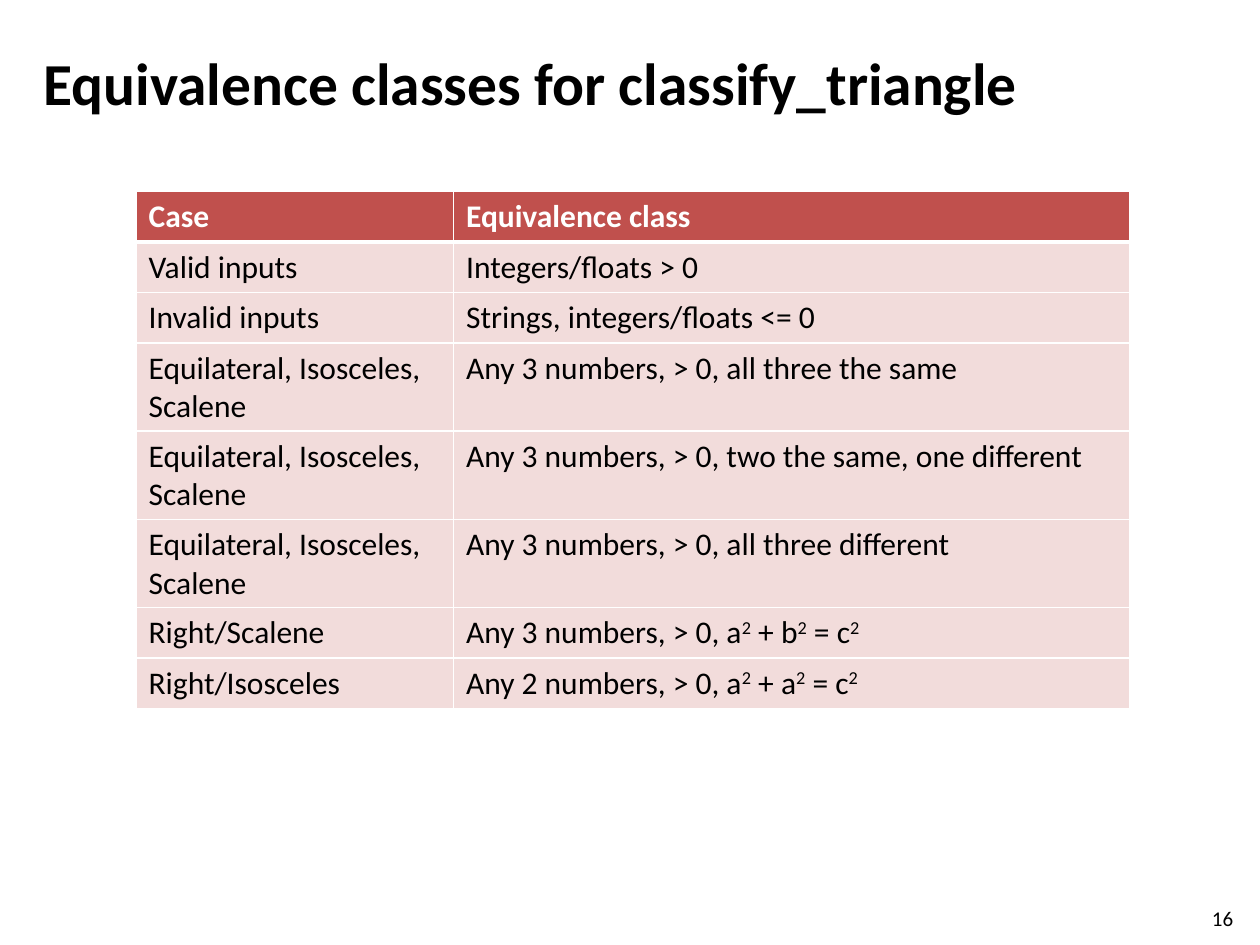
from dataclasses import dataclass

from lxml import etree
from pptx import Presentation
from pptx import util as u
from pptx.dml.color import RGBColor
from pptx.enum import text
from pptx.oxml.ns import qn

COLORS = {"ink": "000000", "paper": "FFFFFF", "header": "C0504D", "body": "F2DCDB"}
FONT = "Calibri"
COLUMN_WIDTHS = (2.52, 5.37)
LINE_HEIGHT = 0.3
CELL_PADDING = 0.1


@dataclass(frozen=True)
class TestCase:
    case: str
    equivalence_class: str
    lines: int = 1


TRIANGLE_KINDS = "Equilateral, Isosceles, Scalene"
ROWS = [
    TestCase("Case", "Equivalence class"),
    TestCase("Valid inputs", "Integers/floats > 0"),
    TestCase("Invalid inputs", "Strings, integers/floats <= 0"),
    TestCase(TRIANGLE_KINDS, "Any 3 numbers, > 0, all three the same", 2),
    TestCase(TRIANGLE_KINDS, "Any 3 numbers, > 0, two the same, one different", 2),
    TestCase(TRIANGLE_KINDS, "Any 3 numbers, > 0, all three different", 2),
    TestCase("Right/Scalene", "Any 3 numbers, > 0, a^2^ + b^2^ = c^2^"),
    TestCase("Right/Isosceles", "Any 2 numbers, > 0, a^2^ + a^2^ = c^2^"),
]


def write_text(frame, content: str, *, size: float, color: str = "ink",
               bold: bool = False) -> None:
    para = frame.paragraphs[0]
    for index, piece in enumerate(content.split("^")):
        if not piece:
            continue
        span = para.add_run()
        span.text = piece
        span.font.name = FONT
        span.font.size = u.Pt(size)
        span.font.bold = bold
        span.font.color.rgb = RGBColor.from_string(COLORS[color])
        if index % 2:
            span.font._element.set("baseline", "30000")


def add_label(page, content: str, left: float, top: float, width: float,
              height: float, *, anchor=text.MSO_ANCHOR.TOP, **style) -> None:
    box = page.shapes.add_textbox(
        u.Inches(left), u.Inches(top), u.Inches(width), u.Inches(height))
    box.text_frame.word_wrap = True
    box.text_frame.vertical_anchor = anchor
    write_text(box.text_frame, content, **style)


def add_borders(cell, widths: dict[str, float]) -> None:
    properties = cell._tc.get_or_add_tcPr()
    for side, width in widths.items():
        line = etree.SubElement(properties, qn(f"a:ln{side}"), w=str(u.Pt(width)))
        fill = etree.SubElement(line, qn("a:solidFill"))
        etree.SubElement(fill, qn("a:srgbClr"), val=COLORS["paper"])


def add_case_table(page, left: float, top: float, rows: list[TestCase]) -> None:
    heights = [CELL_PADDING + LINE_HEIGHT * row.lines for row in rows]
    table = page.shapes.add_table(
        len(rows), len(COLUMN_WIDTHS), u.Inches(left), u.Inches(top),
        u.Inches(sum(COLUMN_WIDTHS)), u.Inches(sum(heights))).table
    for column, width in zip(table.columns, COLUMN_WIDTHS):
        column.width = u.Inches(width)
    for index, (row, height) in enumerate(zip(rows, heights)):
        table.rows[index].height = u.Inches(height)
        header = index == 0
        borders = {"L": 1, "R": 1, "T": 3 if index == 1 else 1, "B": 3 if header else 1}
        for cell, content in zip(table.rows[index].cells, (row.case, row.equivalence_class)):
            add_borders(cell, borders)
            cell.fill.solid()
            cell.fill.fore_color.rgb = RGBColor.from_string(
                COLORS["header" if header else "body"])
            write_text(cell.text_frame, content, size=18,
                       color="paper" if header else "ink", bold=header)


def main() -> None:
    deck = Presentation()
    deck.slide_width, deck.slide_height = u.Inches(10), u.Inches(7.5)
    page = deck.slides.add_slide(deck.slide_layouts[6])
    add_label(page, "Equivalence classes for classify_triangle", 0.25, 0.3, 8.93, 0.7,
              anchor=text.MSO_ANCHOR.MIDDLE, size=34, bold=True)
    add_label(page, "16", 9.52, 7.14, 0.4, 0.24, size=12)
    add_case_table(page, 1.08, 1.52, ROWS)
    deck.save("out.pptx")


if __name__ == "__main__":
    main()
